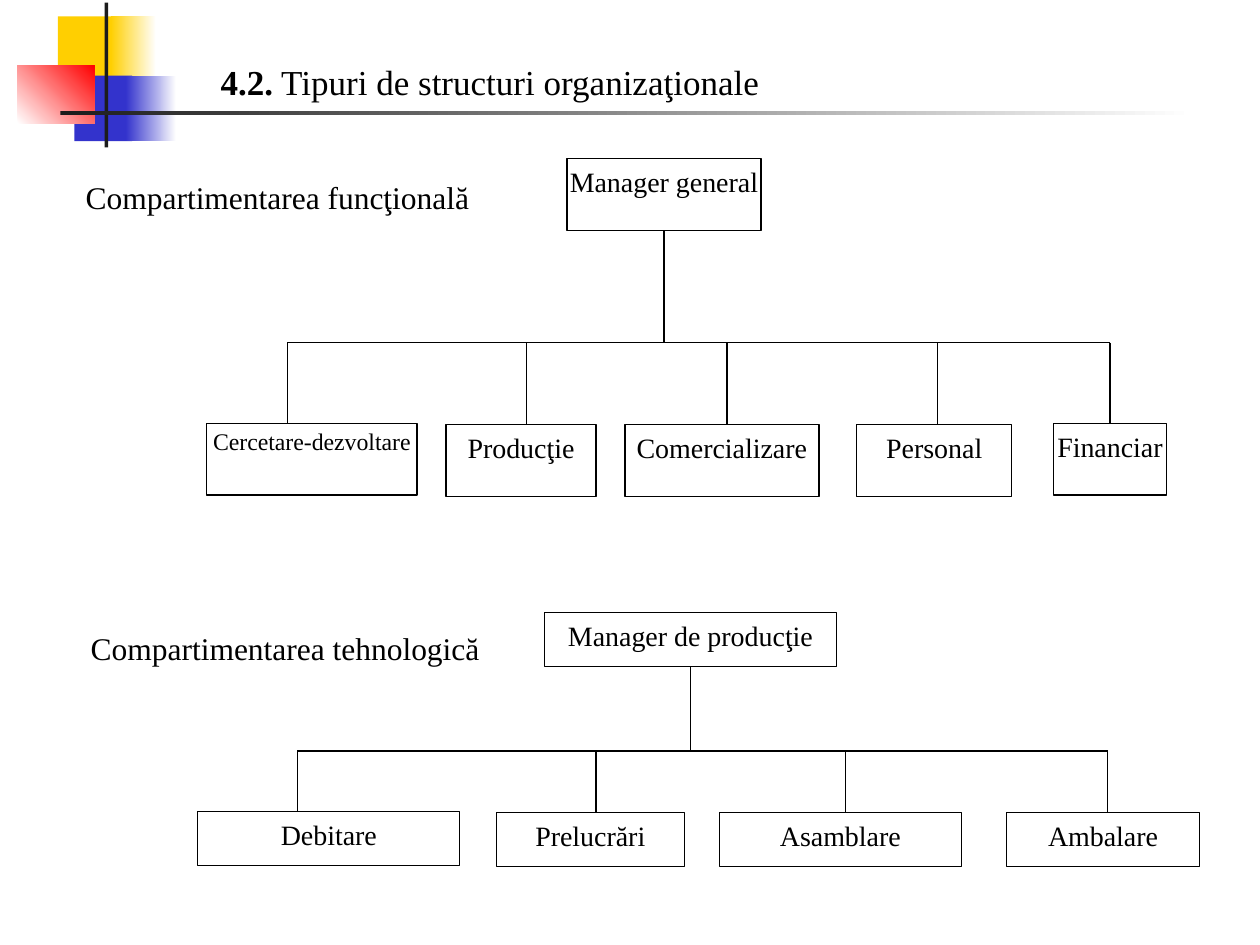
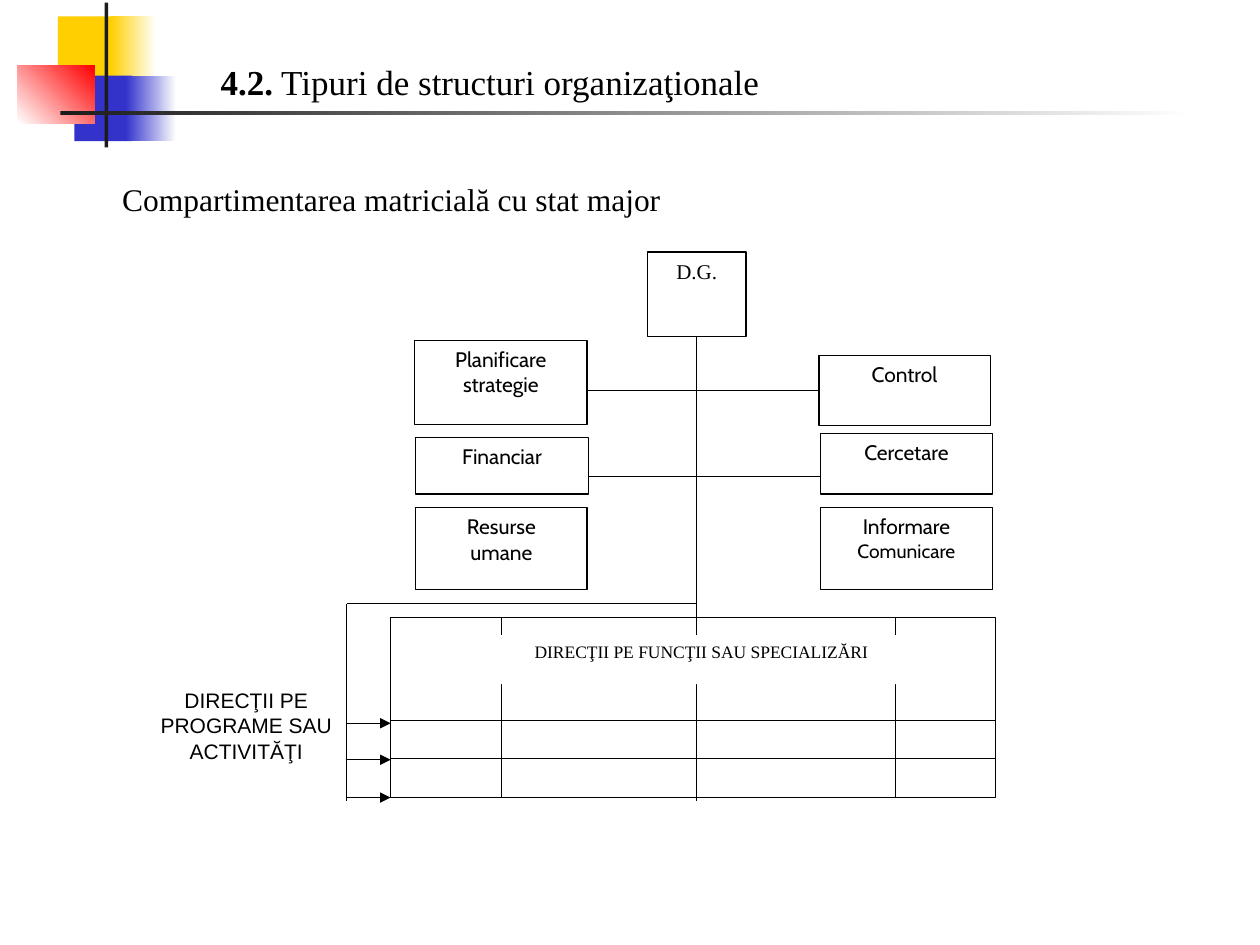
from lxml import etree
from pptx import Presentation
from pptx import util as u
from pptx.dml.color import RGBColor
from pptx.enum import shapes, text
from pptx.oxml.ns import qn

PX = 9144
SERIF, SANS, LABEL = "Times New Roman", "Arial", "Cabin"
COLORS = {"ink": "000000", "paper": "FFFFFF", "yellow": "FFCF01",
          "blue": "3333CC", "red": "FF0000", "rule": "1C1C1C"}
DECOR = [
    ((46, 13, 48, 52), ("yellow",), 0),
    ((88, 13, 36, 52), ("yellow", "paper"), 0),
    ((59, 60, 46, 52), ("blue",), 0),
    ((100, 60, 40, 52), ("blue", "paper"), 0),
    ((14, 52, 61, 46), ("paper", "red"), 45),
    ((83, 2, 3, 115), ("rule",), 0),
    ((48, 88, 900, 3), ("rule", "paper"), 0),
]


def rgb(name):
    return RGBColor.from_string(COLORS[name])


class Deck:
    def __init__(self):
        self.prs = Presentation()
        self.prs.slide_width, self.prs.slide_height = 1000 * PX, 750 * PX

    def slide(self, layout, number, title):
        self.s = self.prs.slides.add_slide(self.prs.slide_layouts[layout])
        for at, colors, angle in DECOR:
            self.rect(at, colors, angle)
        sp = self.s.shapes.title
        self.place(sp, (165, 40, 457, 50))
        sp.text_frame.text = number
        p = sp.text_frame.paragraphs[0]
        p.add_run().text = " " + title
        self.format(sp.text_frame, 20, align=text.PP_ALIGN.LEFT,
                    anchor=text.MSO_ANCHOR.MIDDLE)
        p.runs[0].font.bold = True

    def place(self, sp, at):
        sp.left, sp.top, sp.width, sp.height = (v * PX for v in at)

    def format(self, tf, size, font=SERIF, align=text.PP_ALIGN.CENTER,
               anchor=text.MSO_ANCHOR.TOP, inset=10):
        tf.word_wrap = True
        tf.auto_size = text.MSO_AUTO_SIZE.NONE
        tf.vertical_anchor = anchor
        tf.margin_left = tf.margin_right = inset * PX
        tf.margin_top = tf.margin_bottom = 5 * PX
        for p in tf.paragraphs:
            p.alignment = align
            p.space_before = u.Pt(0)
            for r in p.runs:
                r.font.size, r.font.name = u.Pt(size), font
                r.font.color.rgb = rgb("ink")

    def heading(self, idx, at, words):
        sp = self.s.placeholders[idx]
        self.place(sp, at)
        tf = sp.text_frame
        tf.text = words
        self.format(tf, 18, align=text.PP_ALIGN.LEFT,
                    anchor=text.MSO_ANCHOR.MIDDLE)
        pPr = tf.paragraphs[0]._p.get_or_add_pPr()
        pPr.set("marL", "0")
        pPr.set("indent", "0")
        etree.SubElement(pPr, qn("a:buNone"))

    def rect(self, at, colors=(), angle=0, outline=False):
        sp = self.s.shapes.add_shape(shapes.MSO_SHAPE.RECTANGLE,
                                     *(v * PX for v in at))
        sp.shadow.inherit = False
        if len(colors) == 2:
            sp.fill.gradient()
            sp.fill.gradient_angle = angle
            for stop, name in zip(sp.fill.gradient_stops, colors):
                stop.color.rgb = rgb(name)
        elif colors:
            sp.fill.solid()
            sp.fill.fore_color.rgb = rgb(colors[0])
        else:
            sp.fill.background()
        if outline:
            sp.line.color.rgb = rgb("ink")
            sp.line.width = u.Pt(0.75)
        else:
            sp.line.fill.background()
        return sp

    def box(self, at, words, size=16, font=SERIF, inset=2, outline=True):
        sp = self.rect(at, ("paper",), outline=outline)
        sp.text_frame.text = words
        self.format(sp.text_frame, size, font, inset=inset)
        return sp

    def label(self, at, words, size, font):
        sp = self.s.shapes.add_textbox(*(v * PX for v in at))
        sp.text_frame.text = words
        self.format(sp.text_frame, size, font)

    def line(self, x1, y1, x2, y2, begin=None, end=None, arrow=False):
        c = self.s.shapes.add_connector(shapes.MSO_CONNECTOR.STRAIGHT,
                                        *(v * PX for v in (x1, y1, x2, y2)))
        c.line.color.rgb = rgb("ink")
        c.line.width = u.Pt(0.75)
        if arrow:
            etree.SubElement(c.line._get_or_add_ln(), qn("a:tailEnd"),
                             type="triangle")
        etree.SubElement(c._element.spPr, qn("a:effectLst"))
        if begin:
            c.begin_connect(*begin)
        if end:
            c.end_connect(*end)

    def org_chart(self, head_at, head, bar_y, height, units):
        x, y, w, h = head_at
        sp = self.box(head_at, head)
        mid = x + w // 2
        self.line(mid, y + h, mid, bar_y, begin=(sp, 2))
        self.line(units[0][-1], bar_y, units[-1][-1], bar_y)
        boxes = []
        for name, left, top, width, drop in units:
            sp = self.box((left, top, width, height), name)
            middle = 2 * drop == 2 * left + width
            self.line(drop, bar_y, drop, top, end=(sp, 0) if middle else None)
            boxes.append(sp)
        return boxes


def compartments(d):
    d.slide(3, "4.2.", "Tipuri de structuri organizaţionale")
    d.heading(1, (58, 131, 380, 50), "Compartimentarea funcţională")
    d.heading(2, (62, 489, 370, 50), "Compartimentarea tehnologică")
    research = d.org_chart((450, 126, 154, 57), "Manager general", 272, 57, [
        ("Cercetare-dezvoltare", 164, 336, 167, 228),
        ("Producţie", 354, 337, 119, 418),
        ("Comercializare", 496, 337, 154, 577),
        ("Personal", 680, 337, 123, 744),
        ("Financiar", 836, 336, 90, 881),
    ])[0]
    p = research.text_frame.paragraphs[0]
    p.line_spacing = 0.9
    p.runs[0].font.size = u.Pt(13.6)
    d.org_chart((432, 486, 232, 43), "Manager de producţie", 596, 43, [
        ("Debitare", 157, 644, 208, 236),
        ("Prelucrări", 394, 645, 149, 473),
        ("Asamblare", 571, 645, 192, 671),
        ("Ambalare", 799, 645, 153, 879),
    ])


def matrix(d):
    d.slide(1, "4.2.", "Tipuri de structuri organizaţionale")
    d.heading(1, (87, 138, 869, 40), "Compartimentarea matricială cu stat major")
    director = d.box((514, 200, 78, 67), "D.G.", 12, inset=10)
    d.line(553, 267, 553, 636, begin=(director, 2))
    staff = {}
    for at, words in [
        ((329, 270, 137, 67), "Planificare\nstrategie"),
        ((650, 282, 136, 56), "Control"),
        ((330, 347, 137, 45), "Financiar"),
        ((651, 344, 137, 48), "Cercetare"),
        ((330, 403, 136, 65), "Resurse\numane"),
        ((651, 403, 137, 65), "Informare\nComunicare"),
    ]:
        staff[words] = d.box(at, words, 12, LABEL, inset=10)
    small = staff["Informare\nComunicare"].text_frame.paragraphs[1]
    small.runs[0].font.size = u.Pt(11)
    d.line(466, 310, 650, 310, end=(staff["Control"], 1))
    d.line(467, 378, 651, 378)

    d.rect((310, 490, 480, 143), outline=True)
    for x in (398, 711):
        d.line(x, 490, x, 633)
    d.box((343, 504, 427, 39), "DIRECŢII PE FUNCŢII SAU SPECIALIZĂRI", 10,
          inset=10, outline=False)
    for y in (572, 602):
        d.line(310, y, 790, y)
    d.line(553, 479, 275, 479)
    d.line(275, 479, 275, 636)
    for y in (574, 603, 633):
        d.line(275, y, 310, y, arrow=True)
    d.label((113, 541, 165, 150), "DIRECŢII PE PROGRAME SAU ACTIVITĂŢI", 12, SANS)


def main():
    d = Deck()
    compartments(d)
    matrix(d)
    d.prs.save("out.pptx")


if __name__ == "__main__":
    main()
